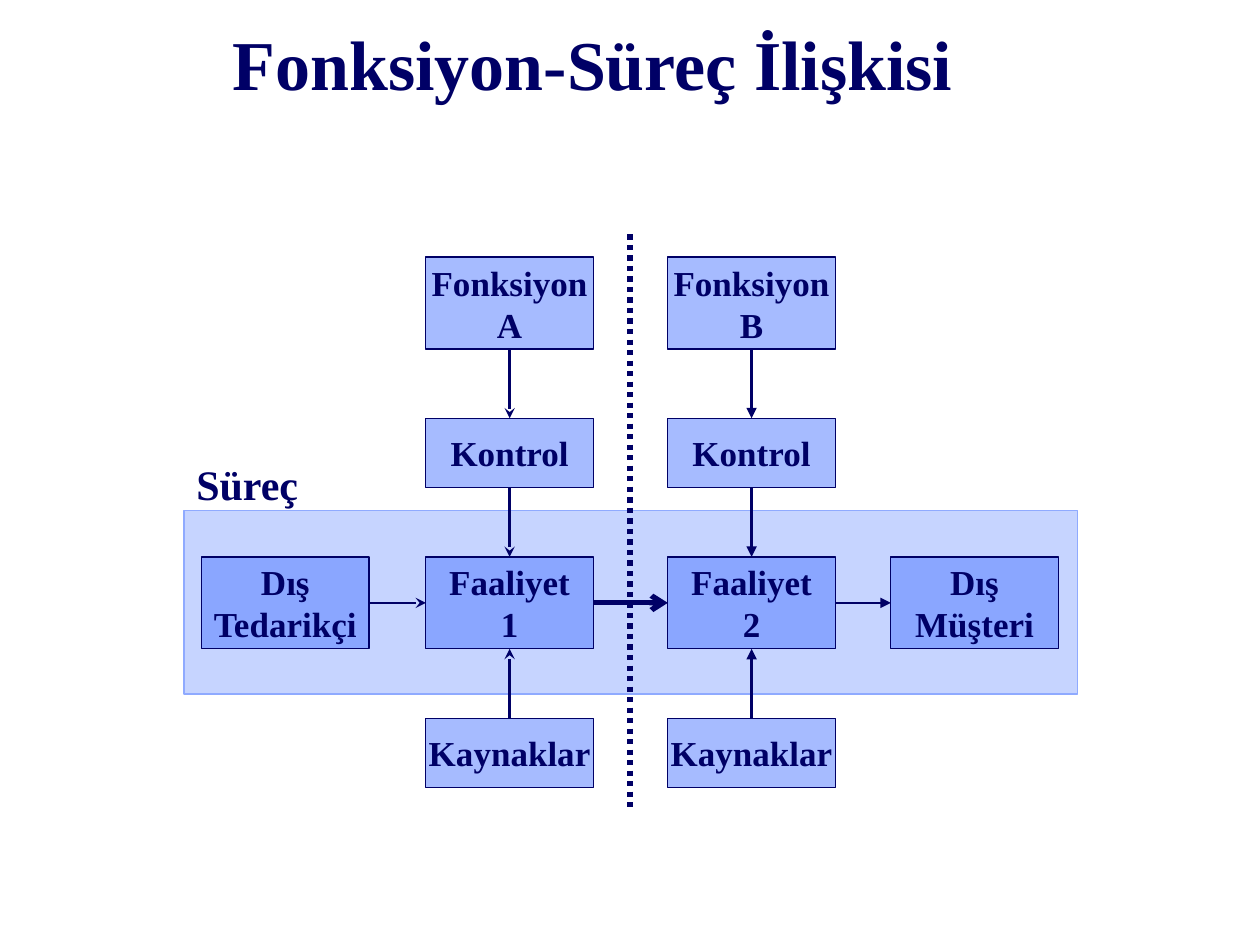
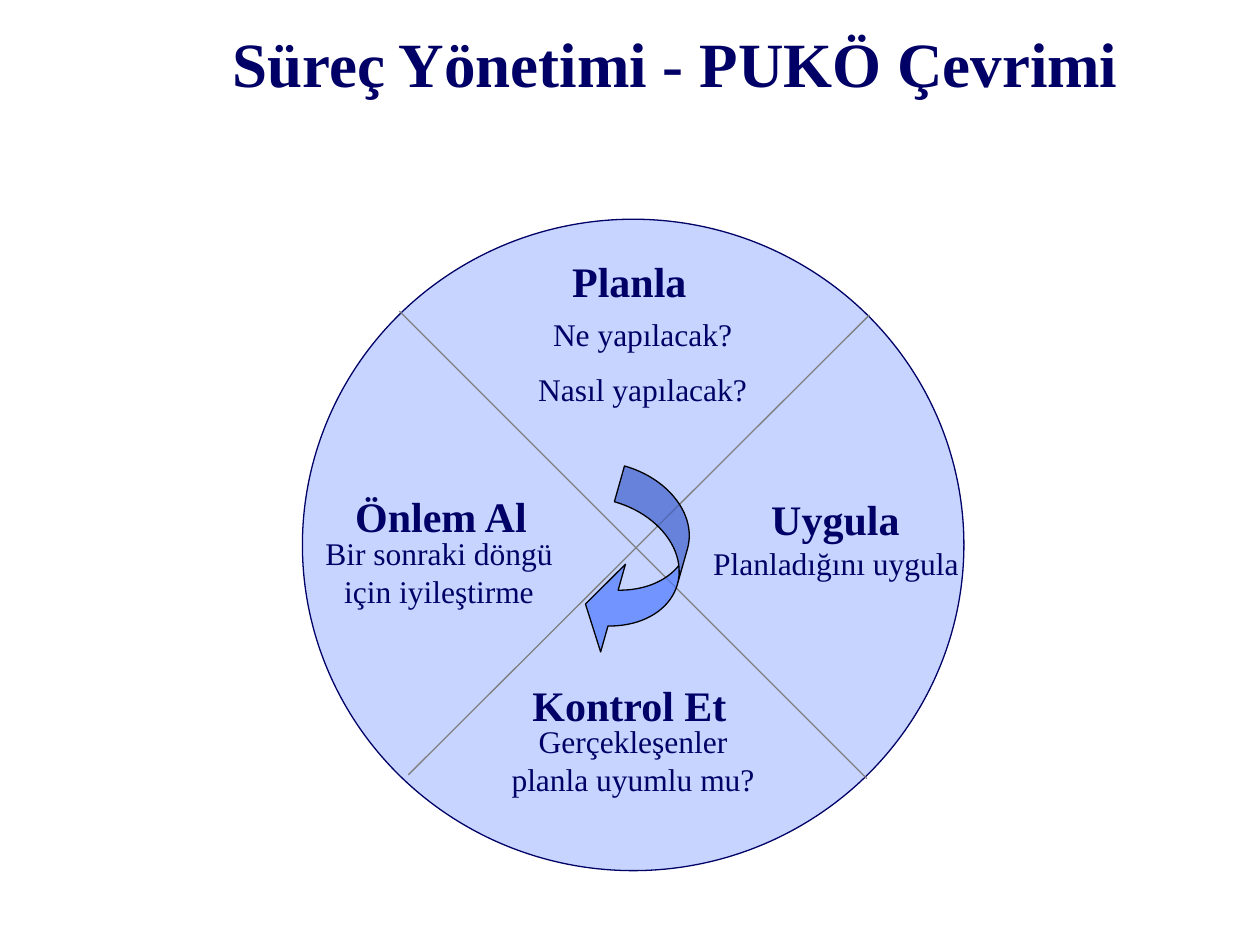
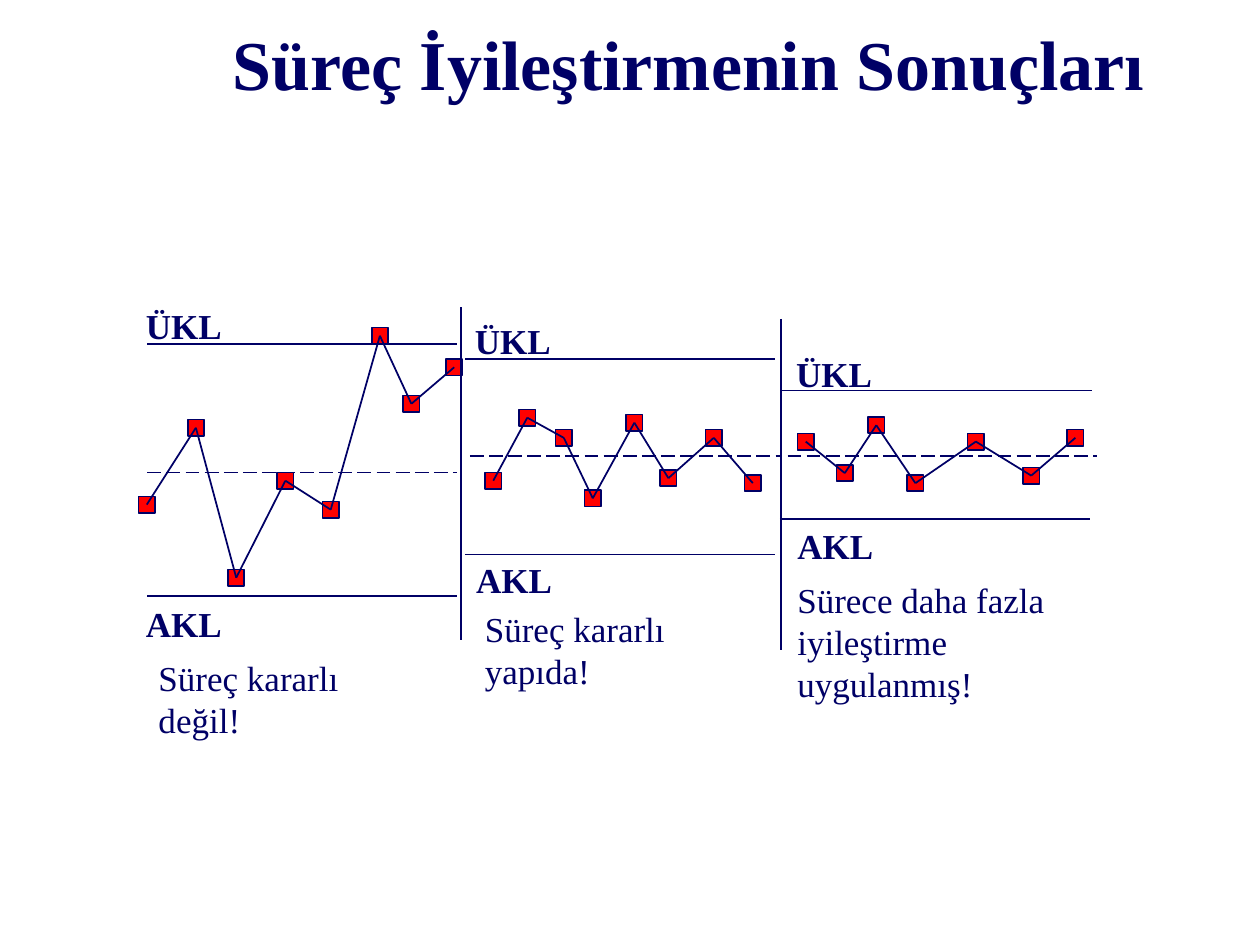
from itertools import pairwise

from lxml.etree import SubElement
from pptx import Presentation
from pptx.dml.color import RGBColor
from pptx.enum.dml import MSO_LINE
from pptx.enum.shapes import MSO_CONNECTOR, MSO_SHAPE
from pptx.enum.text import MSO_ANCHOR, PP_ALIGN
from pptx.oxml.ns import qn
from pptx.util import Inches, Pt

COLORS = {
    "navy": "000066",
    "pale": "8FAAFF",
    "blue": "4F79FF",
    "gray": "808080",
    "red": "FF0000",
    "black": "000000",
    "white": "FFFFFF",
}
FONT = "Times New Roman"


def add_item(sl, box, text="", size=20, bold=False, align=PP_ALIGN.LEFT,
             anchor=MSO_ANCHOR.TOP, wrap=True, kind=None, fill=None,
             alpha=100, border="navy", weight=0.75):
    box = [Inches(v) for v in box]
    if kind is None:
        sp = sl.shapes.add_textbox(*box)
    else:
        sp = sl.shapes.add_shape(kind, *box)
        sp.shadow.inherit = False
        sp.fill.solid()
        sp.fill.fore_color.rgb = RGBColor.from_string(COLORS[fill])
        if alpha < 100:
            color = sp.fill._xPr.find(qn("a:solidFill"))[0]
            SubElement(color, qn("a:alpha"), val=str(alpha * 1000))
        sp.line.color.rgb = RGBColor.from_string(COLORS[border])
        sp.line.width = Pt(weight)
    if text:
        tf = sp.text_frame
        tf.word_wrap = wrap
        tf.vertical_anchor = anchor
        tf.text = text
        for i, p in enumerate(tf.paragraphs):
            p.alignment = align
            if i and size == 18:
                p.space_before = Pt(10)
            for r in p.runs:
                r.font.name = FONT
                r.font.size = Pt(size)
                r.font.bold = bold
                r.font.color.rgb = RGBColor.from_string(COLORS["navy"])
    return sp


def add_line(sl, start, end, weight=1, color="navy", dash=None, head=None):
    ends = [Inches(v) for v in (*start, *end)]
    cn = sl.shapes.add_connector(MSO_CONNECTOR.STRAIGHT, *ends)
    cn.line.color.rgb = RGBColor.from_string(COLORS[color])
    cn.line.width = Pt(weight)
    if dash:
        cn.line.dash_style = dash
    if head:
        SubElement(cn.line._get_or_add_ln(), qn("a:tailEnd"), type=head)
    SubElement(cn._element.spPr, qn("a:effectLst"))


prs = Presentation()
prs.slide_width, prs.slide_height = Inches(10), Inches(7.5)

slides = []
for title, size in [
    ("Fonksiyon-Süreç İlişkisi", 40),
    ("Süreç Yönetimi - PUKÖ Çevrimi", 36),
    ("Süreç İyileştirmenin Sonuçları", 40),
]:
    sl = prs.slides.add_slide(prs.slide_layouts[6])
    sl.background.fill.solid()
    sl.background.fill.fore_color.rgb = RGBColor.from_string(COLORS["white"])
    add_item(sl, (1.75, 0.08, 7.67, 0.83), title, size, True,
             anchor=MSO_ANCHOR.MIDDLE)
    slides.append(sl)
relation, cycle, results = slides

add_item(relation, (1.46, 4.05, 7.09, 1.46), kind=MSO_SHAPE.RECTANGLE,
         fill="pale", alpha=50, border="pale")
box_w, tall, short = 1.33, 0.73, 0.55
function_y, control_y, activity_y, resource_y = 2.04, 3.32, 4.42, 5.7
supplier_x, a_x, b_x, customer_x = 1.6, 3.38, 5.3, 7.07
boxes = [
    (supplier_x, activity_y, tall, "Dış\nTedarikçi"),
    (customer_x, activity_y, tall, "Dış\nMüşteri"),
]
for x, letter, number in [(a_x, "A", "1"), (b_x, "B", "2")]:
    boxes += [
        (x, function_y, tall, "Fonksiyon\n" + letter),
        (x, control_y, short, "Kontrol"),
        (x, activity_y, tall, "Faaliyet\n" + number),
        (x, resource_y, short, "Kaynaklar"),
    ]
for x, y, h, text in boxes:
    add_item(relation, (x, y, box_w, h), text, 20, True, PP_ALIGN.CENTER,
             MSO_ANCHOR.MIDDLE, False, MSO_SHAPE.RECTANGLE, "blue", 50)
add_line(relation, (5, 1.86), (5, 6.43), 3, dash=MSO_LINE.ROUND_DOT)

for x, head in [(a_x, "stealth"), (b_x, "triangle")]:
    mid_x = x + box_w / 2
    for y1, y2 in [
        (function_y + tall, control_y),
        (control_y + short, activity_y),
        (resource_y, activity_y + tall),
    ]:
        add_line(relation, (mid_x, y1), (mid_x, y2), 1.5, head=head)
mid_y = activity_y + tall / 2
for x1, x2, weight, head in [
    (supplier_x, a_x, 1.5, "stealth"),
    (a_x, b_x, 3, "arrow"),
    (b_x, customer_x, 1.5, "triangle"),
]:
    add_line(relation, (x1 + box_w, mid_y), (x2, mid_y), weight, head=head)
add_item(relation, (1.46, 3.59, 1.33, 0.55), "Süreç", 24, True)

add_item(cycle, (2.4, 1.74, 5.25, 5.17), kind=MSO_SHAPE.OVAL,
         fill="pale", alpha=50)
add_line(cycle, (6.9, 2.5), (3.24, 6.15), 0.75, "gray")
add_line(cycle, (3.17, 2.47), (6.88, 6.18), 0.75, "gray")
for name, name_box, detail, detail_box in [
    ("Planla", (4.44, 1.98, 1.11, 0.5),
     "Ne yapılacak?\nNasıl yapılacak?", (4.14, 2.45, 1.92, 0.85)),
    ("Uygula", (6.02, 3.87, 1.22, 0.5),
     "Planladığını uygula", (5.51, 4.27, 2.25, 0.4)),
    ("Kontrol Et", (4.12, 5.34, 1.75, 0.5),
     "Gerçekleşenler planla uyumlu mu?", (3.94, 5.68, 2.17, 0.7)),
    ("Önlem Al", (2.71, 3.84, 1.58, 0.5),
     "Bir sonraki döngü için iyileştirme", (2.4, 4.19, 2.17, 0.7)),
]:
    add_item(cycle, name_box, name, 24, True, PP_ALIGN.CENTER, wrap=False)
    add_item(cycle, detail_box, detail, 18, align=PP_ALIGN.CENTER)
arrow = add_item(cycle, (4.74, 3.76, 0.66, 1.5), fill="blue", alpha=70,
                 kind=MSO_SHAPE.CURVED_LEFT_ARROW, border="black")
arrow.rotation = 15.8
for i, value in enumerate((0.447, 1.095, 0.333)):
    arrow.adjustments[i] = value

limit_w, marker = 2.46, 0.13
panels = [
    {"upper": (1.17, 2.73), "mean": (1.17, 3.75), "lower": (1.17, 4.73),
     "ÜKL": (1.06, 2.37), "AKL": (1.06, 4.73),
     "note": ("Süreç kararlı değil!", 1.16, 5.16, 1.9),
     "points": [(1.1, 3.94), (1.49, 3.33), (1.81, 4.52), (2.2, 3.75),
                (2.56, 3.98), (2.95, 2.6), (3.2, 3.14), (3.54, 2.85)]},
    {"upper": (3.69, 2.85), "mean": (3.73, 3.62), "lower": (3.69, 4.4),
     "ÜKL": (3.67, 2.49), "AKL": (3.68, 4.38),
     "note": ("Süreç kararlı yapıda!", 3.75, 4.77, 1.9),
     "points": [(3.85, 3.75), (4.12, 3.25), (4.41, 3.41), (4.64, 3.89),
                (4.97, 3.29), (5.24, 3.73), (5.6, 3.41), (5.91, 3.77)]},
    {"upper": (6.21, 3.1), "mean": (6.25, 3.62), "lower": (6.19, 4.12),
     "ÜKL": (6.22, 2.75), "AKL": (6.23, 4.11),
     "note": ("Sürece daha fazla\niyileştirme uygulanmış!", 6.23, 4.54, 2.34),
     "points": [(6.33, 3.44), (6.64, 3.69), (6.89, 3.31), (7.2, 3.77),
                (7.68, 3.44), (8.12, 3.71), (8.47, 3.41)]},
]
for panel in panels:
    for level in ("upper", "mean", "lower"):
        x, y = panel[level]
        dash = MSO_LINE.LONG_DASH if level == "mean" else None
        add_line(results, (x, y), (x + limit_w, y), dash=dash)
    for x, y in panel["points"]:
        add_item(results, (x, y, marker, marker), kind=MSO_SHAPE.RECTANGLE,
                 fill="red", weight=1)
    centers = [(x + marker / 2, y + marker / 2) for x, y in panel["points"]]
    for start, end in pairwise(centers):
        add_line(results, start, end)
    for label in ("ÜKL", "AKL"):
        add_item(results, (*panel[label], 0.8, 0.43), label, 20, True,
                 wrap=False)
    text, x, y, w = panel["note"]
    add_item(results, (x, y, w, 0.76), text)
for x, top, bottom in [(3.66, 2.44, 5.08), (6.2, 2.53, 5.16)]:
    add_line(results, (x, top), (x, bottom))

prs.save("out.pptx")
